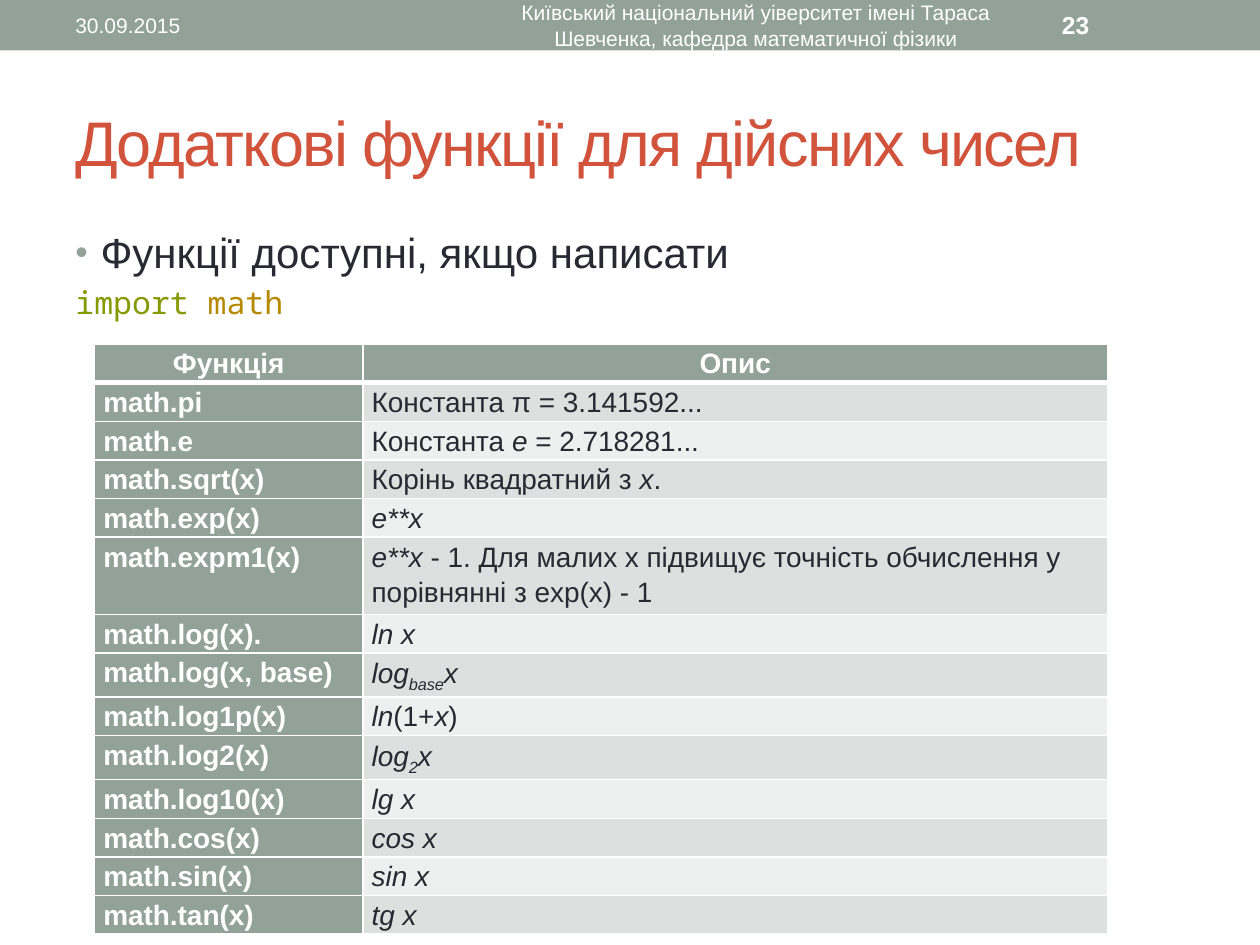
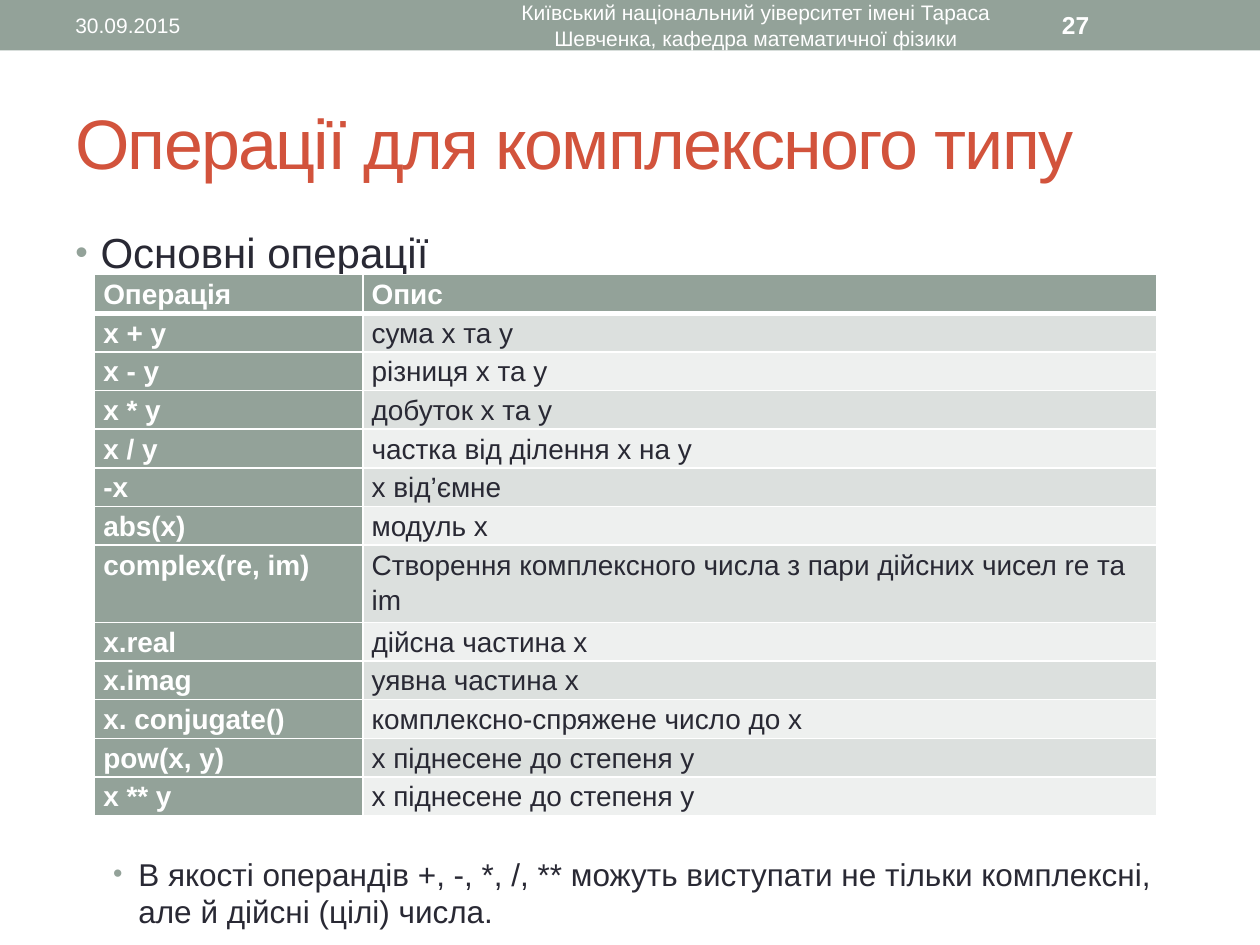
from dataclasses import dataclass, replace
from functools import partial
from typing import Any

from lxml.etree import SubElement
from pptx import Presentation
from pptx.dml.color import RGBColor as Color
from pptx.enum.shapes import MSO_SHAPE as ShapeKind
from pptx.enum.text import MSO_ANCHOR as Anchor, PP_ALIGN as Align
from pptx.oxml.ns import qn
from pptx.util import Inches, Pt


@dataclass(frozen=True)
class Theme:
    """Colours, fonts and type sizes of the deck."""
    accent: str = "93A299"
    title: str = "D2533C"
    text: str = "292934"
    white: str = "FFFFFF"
    stripes: tuple[str, str] = ("DCE0DE", "EEF0EF")
    keyword: str = "859900"
    module: str = "B58900"
    font: str = "Arial"
    code_font: str = "Noto Sans Mono"
    body_size: int = 24
    detail_size: int = 18
    table_size: int = 16
    number_size: int = 14
    footer_size: int = 12


THEME = Theme()
COLUMNS, ROWS, CELL = 40, 30, 0.25


@dataclass(frozen=True)
class Area:
    """Rectangle in grid columns and rows."""
    column: float
    row: float
    columns: float
    rows: float

    def box(self) -> tuple[int, ...]:
        """Return left, top, width and height in slide units."""
        return tuple(grid(cells) for cells in (self.column, self.row, self.columns, self.rows))


@dataclass(frozen=True)
class Run:
    """Piece of text in one format."""
    text: str
    size: int = THEME.body_size
    color: str = THEME.text
    name: str = THEME.font
    bold: bool = False
    italic: bool = False
    baseline: int = 0
    spacing: int = 0


@dataclass(frozen=True)
class Line:
    """Paragraph with its bullet and spacing."""
    runs: tuple[Run, ...]
    align: Align = Align.LEFT
    indent: float = 0
    before: float = 0
    spacing: float = 1.0


@dataclass(frozen=True)
class FunctionTable:
    """Two-column table of names and descriptions."""
    row: float
    widths: tuple[float, float]
    header: tuple[str, str]
    header_align: Align
    entries: tuple[tuple[str, tuple[Run, ...]], ...]


@dataclass(frozen=True)
class Topic:
    """Everything that differs between slides."""
    number: int
    title: str
    title_size: int
    body: tuple[Line, ...]
    table: FunctionTable


TITLE_AREA = Area(2, 2.32, 36, 4.32)
BODY_AREA = Area(2, 7, 36, 21.32)
BAND = Area(0, 0, COLUMNS, 1.6)
DATE_AREA = Area(2, 0.08, 12.68, 1.44)
FOOTER_AREA = Area(15, 0.08, 18, 1.44)
NUMBER_AREA = Area(33.32, 0.08, 4.68, 1.44)
TABLE_COLUMN, TABLE_ROW, CELL_MARGIN = 3, 1.13, 0.28
BULLET_HANG, BULLET_INDENT, DETAIL_INDENT = 0.8, 0.8, 2
DATE = "30.09.2015"
FOOTER = "Київський національний уіверситет імені Тараса Шевченка, кафедра математичної фізики"

italic = partial(Run, italic=True)
subscript = partial(Run, italic=True, baseline=-25000)
detail = partial(Run, size=THEME.detail_size)
code = partial(detail, name=THEME.code_font)
footer = partial(Run, size=THEME.footer_size, color=THEME.white)


def grid(cells: float) -> int:
    """Convert grid cells to slide units."""
    return Inches(cells * CELL)


def set_attributes(target: Any, values: dict[str, Any]) -> None:
    """Set every attribute named in the dict."""
    for name, value in values.items():
        setattr(target, name, value)


def add_bullet(properties: Any, indent: float) -> None:
    """Give paragraph properties a hanging bullet."""
    properties.set("marL", str(grid(indent)))
    properties.set("indent", str(-grid(BULLET_HANG)))
    color = SubElement(properties, qn("a:buClr"))
    SubElement(color, qn("a:srgbClr"), val=THEME.accent)
    SubElement(properties, qn("a:buSzPct"), val="85000")
    SubElement(properties, qn("a:buFont"), typeface=THEME.font)
    SubElement(properties, qn("a:buChar"), char="•")


def write_run(paragraph: Any, run: Run) -> None:
    """Append a formatted run to a paragraph."""
    piece = paragraph.add_run()
    piece.text = run.text
    set_attributes(piece.font, {"size": Pt(run.size), "name": run.name,
                                "bold": run.bold, "italic": run.italic})
    piece.font.color.rgb = Color.from_string(run.color)
    for key, value in {"baseline": run.baseline, "spc": run.spacing}.items():
        if value:
            piece.font._element.set(key, str(value))


def write_lines(frame: Any, lines: tuple[Line, ...]) -> None:
    """Fill a text frame with paragraphs."""
    for index, line in enumerate(lines):
        paragraph = frame.add_paragraph() if index else frame.paragraphs[0]
        if line.indent:
            add_bullet(paragraph._p.get_or_add_pPr(), line.indent)
        set_attributes(paragraph, {"alignment": line.align, "space_before": Pt(line.before),
                                   "line_spacing": line.spacing})
        for run in line.runs:
            write_run(paragraph, run)


def add_text(slide: Any, area: Area, lines: tuple[Line, ...], anchor: Anchor = Anchor.MIDDLE) -> None:
    """Add a wrapping text box."""
    frame = slide.shapes.add_textbox(*area.box()).text_frame
    set_attributes(frame, {"word_wrap": True, "vertical_anchor": anchor})
    write_lines(frame, lines)


def add_header(slide: Any, number: int) -> None:
    """Draw the band with date, department and slide number."""
    band = slide.shapes.add_shape(ShapeKind.RECTANGLE, *BAND.box())
    band.shadow.inherit = False
    band.fill.solid()
    band.fill.fore_color.rgb = Color.from_string(THEME.accent)
    band.line.fill.background()
    page = Run(str(number), THEME.number_size, THEME.white, bold=True)
    add_text(slide, DATE_AREA, (Line((footer(DATE),)),))
    add_text(slide, FOOTER_AREA, (Line((footer(FOOTER),), Align.CENTER),))
    add_text(slide, NUMBER_AREA, (Line((page,)),))


def format_cell(cell: Any, line: Line, fill: str, top: int, bottom: int) -> None:
    """Write a table cell with its borders and fill."""
    set_attributes(cell, {"margin_left": grid(CELL_MARGIN), "margin_right": grid(CELL_MARGIN),
                          "margin_top": 0, "margin_bottom": 0})
    write_lines(cell.text_frame, (line,))
    properties = cell._tc.get_or_add_tcPr()
    for side, width in {"L": 1, "R": 1, "T": top, "B": bottom}.items():
        border = SubElement(properties, qn(f"a:ln{side}"), w=str(Pt(width)))
        paint = SubElement(border, qn("a:solidFill"))
        SubElement(paint, qn("a:srgbClr"), val=THEME.white)
    cell.fill.solid()
    cell.fill.fore_color.rgb = Color.from_string(fill)


def add_function_table(slide: Any, content: FunctionTable) -> None:
    """Draw a striped table with a strong header and first column."""
    count = len(content.entries) + 1
    area = Area(TABLE_COLUMN, content.row, sum(content.widths), count * TABLE_ROW)
    table = slide.shapes.add_table(count, 2, *area.box()).table
    for column, width in zip(table.columns, content.widths):
        column.width = grid(width)
    strong = partial(Run, size=THEME.table_size, color=THEME.white, bold=True)
    for cell, label in zip(table.rows[0].cells, content.header):
        format_cell(cell, Line((strong(label),), content.header_align, spacing=1.15), THEME.accent, 1, 3)
    for index, (name, description) in enumerate(content.entries):
        top = 1 if index else 3
        runs = tuple(replace(run, size=THEME.table_size) for run in description)
        first, second = table.rows[index + 1].cells
        format_cell(first, Line((strong(name),), spacing=1.15), THEME.accent, top, 1)
        format_cell(second, Line(runs, spacing=1.15), THEME.stripes[index % 2], top, 1)


REAL_FUNCTIONS = FunctionTable(10.92, (8.52, 23.64), ("Функція", "Опис"), Align.CENTER, (
    ("math.pi", (Run("Константа π = 3.141592..."),)),
    ("math.e", (Run("Константа "), italic("e"), Run(" = 2.718281..."))),
    ("math.sqrt(x)", (Run("Корінь квадратний з "), italic("x"), Run("."))),
    ("math.exp(x)", (italic("e**x"),)),
    ("math.expm1(x)", (italic("e**x "), Run(
        "- 1. Для малих x підвищує точність обчислення у порівнянні з exp(x) - 1"))),
    ("math.log(x).", (italic("ln x"),)),
    ("math.log(x, base)", (italic("log"), subscript("base"), italic("x"))),
    ("math.log1p(x)", (italic("ln"), Run("(1+"), italic("x"), Run(")"))),
    ("math.log2(x)", (italic("log"), subscript("2"), italic("x"))),
    ("math.log10(x)", (italic("lg x"),)),
    ("math.cos(x)", (italic("cos x"),)),
    ("math.sin(x)", (italic("sin x"),)),
    ("math.tan(x)", (italic("tg x"),)),
))

COMPLEX_OPERATIONS = FunctionTable(8.72, (8.52, 25.2), ("Операція", "Опис"), Align.LEFT, tuple(
    (name, (Run(description),)) for name, description in (
        ("x + y", "сума x та y"),
        ("x - y", "різниця x та y"),
        ("x * y", "добуток x та y"),
        ("x / y", "частка від ділення x на y"),
        ("-x", "x від’ємне"),
        ("abs(x)", "модуль x"),
        ("complex(re, im)", "Створення комплексного числа з пари дійсних чисел re та im"),
        ("x.real", "дійсна частина x"),
        ("x.imag", "уявна частина x"),
        ("x. conjugate()", "комплексно-спряжене число до x"),
        ("pow(x, y)", "x піднесене до степеня y"),
        ("x ** y", "x піднесене до степеня y"),
    )))

TOPICS = (
    Topic(23, "Додаткові функції для дійсних чисел", 36, (
        Line((Run("Функції доступні, якщо написати"),), indent=BULLET_INDENT),
        Line((code("import ", color=THEME.keyword), code("math", color=THEME.module)), before=3.6),
    ), REAL_FUNCTIONS),
    Topic(27, "Операції для комплексного типу", 40, (
        Line((Run("Основні операції"),), indent=BULLET_INDENT),
        Line((detail("В якості операндів +, -, *, /, ** можуть виступати не тільки комплексні, "
                     "але й дійсні (цілі) числа."),), indent=DETAIL_INDENT, before=330),
    ), COMPLEX_OPERATIONS),
)


def add_topic(presentation: Any, topic: Topic) -> None:
    """Add one slide with header, title, body and table."""
    slide = presentation.slides.add_slide(presentation.slide_layouts[6])
    add_header(slide, topic.number)
    title = Run(topic.title, topic.title_size, THEME.title, spacing=-100)
    add_text(slide, TITLE_AREA, (Line((title,)),))
    add_text(slide, BODY_AREA, topic.body, Anchor.TOP)
    add_function_table(slide, topic.table)


def main() -> None:
    """Build and save the presentation."""
    presentation = Presentation()
    set_attributes(presentation, {"slide_width": grid(COLUMNS), "slide_height": grid(ROWS)})
    for topic in TOPICS:
        add_topic(presentation, topic)
    presentation.save("out.pptx")


if __name__ == "__main__":
    main()
